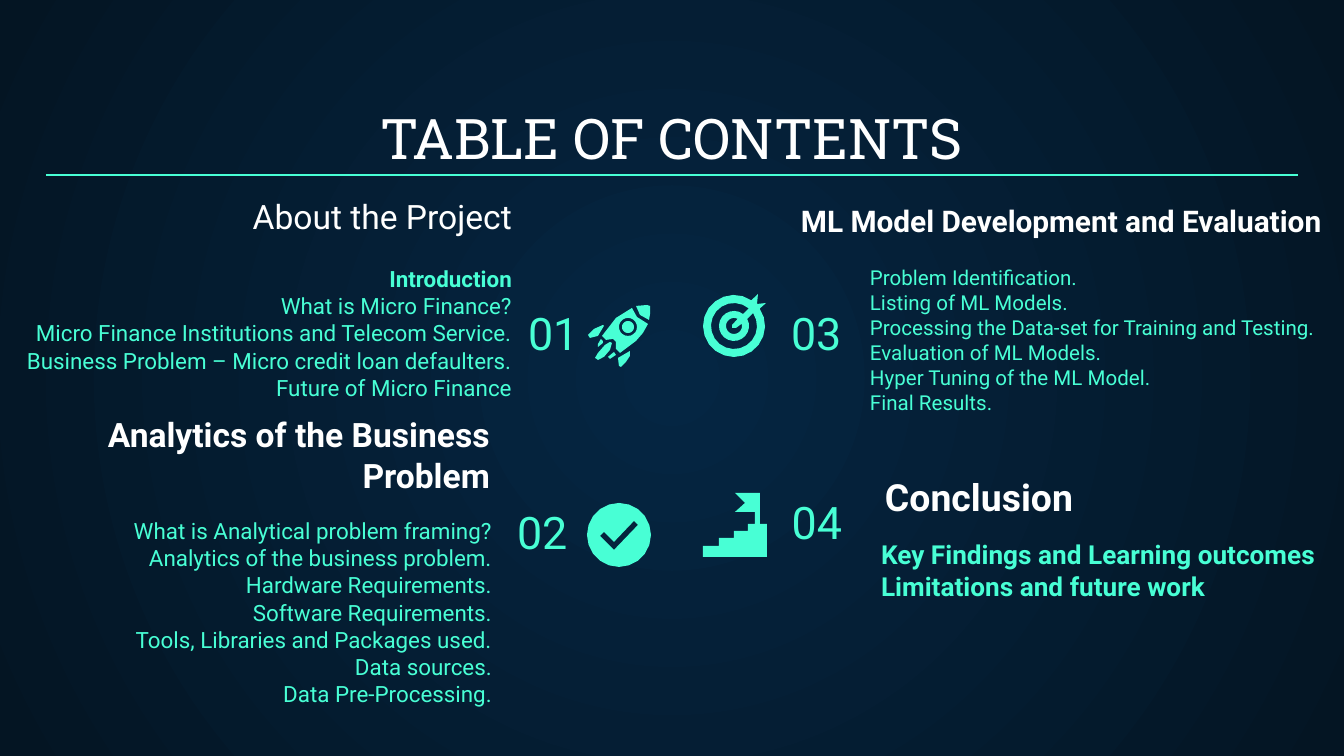
"""Build a table of contents slide with four numbered sections and icons."""
from math import cos, radians, sin

from lxml import etree
from pptx import Presentation
from pptx.dml.color import RGBColor
from pptx.enum.shapes import MSO_CONNECTOR
from pptx.enum.text import MSO_ANCHOR, PP_ALIGN
from pptx.oxml.ns import qn
from pptx.util import Pt

STRAIGHT = MSO_CONNECTOR.STRAIGHT
TOP, BOTTOM = MSO_ANCHOR.TOP, MSO_ANCHOR.BOTTOM
LEFT, CENTER, RIGHT = PP_ALIGN.LEFT, PP_ALIGN.CENTER, PP_ALIGN.RIGHT
WIDTH, HEIGHT = 1344, 756
PX = 9144000 / WIDTH
INSET = 13
COLORS = {"center": "052643", "edge": "041523", "accent": "48FFD5", "white": "FFFFFF"}
RGB = {name: RGBColor.from_string(value) for name, value in COLORS.items()}


def add_text(box, lines, size, color, align, anchor=BOTTOM, font="Roboto", bold_lines=0, indented=False):
    shape = slide.shapes.add_textbox(*(round(length * PX) for length in box))
    frame = shape.text_frame
    frame.word_wrap = True
    frame.vertical_anchor = anchor
    frame.margin_left = frame.margin_right = round(INSET * PX)
    frame.margin_top = frame.margin_bottom = round(INSET * PX)
    frame.text = "\n".join(lines)
    for index, paragraph in enumerate(frame.paragraphs):
        paragraph.alignment = align
        if indented:
            paragraph.line_spacing = 1.01
            properties = paragraph._p.get_or_add_pPr()
            properties.set("marL", str(round(67 * PX)))
            properties.set("indent", str(round(-51 * PX)))
        for run in paragraph.runs:
            run.font.size = Pt(size)
            run.font.name = font
            run.font.bold = index < bold_lines
            run.font.color.rgb = RGB[color]


def arc(x, y, radius, start=0, end=342, steps=19):
    angles = [radians(start + (end - start) * step / steps) for step in range(steps + 1)]
    return [(x + radius * cos(angle), y + radius * sin(angle)) for angle in angles]


presentation = Presentation()
presentation.slide_width = round(WIDTH * PX)
presentation.slide_height = round(HEIGHT * PX)
slide = presentation.slides.add_slide(presentation.slide_layouts[6])

background = slide.background.fill
background.gradient()
for stop, name in zip(background.gradient_stops, ("center", "edge")):
    stop.color.rgb = RGB[name]
gradient = slide.element.find(".//" + qn("a:gradFill"))
linear = gradient.find(qn("a:lin"))
radial = etree.Element(qn("a:path"), path="circle")
etree.SubElement(radial, qn("a:fillToRect"), {side: "50000" for side in "ltrb"})
gradient.replace(linear, radial)

add_text((46, 95, 1252, 89), ["TABLE OF CONTENTS"], 30, "white", CENTER, font="Roboto Slab")

headings = [
    ("About the Project", (220, 220, 305, 29), 18, RIGHT, 0),
    ("Analytics of the Business Problem", (51, 430, 452, 78), 18, RIGHT, 1),
    ("ML Model Development and Evaluation", (788, 167, 556, 85), 16, LEFT, 1),
    ("Conclusion", (872, 503, 305, 29), 20, LEFT, 1),
]
for heading, box, size, align, bold_lines in headings:
    add_text(box, [heading], size, "white", align, bold_lines=bold_lines)

numbers = [
    ("01", 515, 284, LEFT),
    ("02", 504, 483, LEFT),
    ("03", 778, 284, LEFT),
    ("04", 682, 473, RIGHT),
]
for number, left, top, align in numbers:
    add_text((left, top, 173, 89), [number], 24, "accent", align)

topics = [
    ((-53, 252, 578, 105), 12, RIGHT, 1, [
        "Introduction",
        "What is Micro Finance?",
        "Micro Finance Institutions and Telecom Service.",
        "Business Problem – Micro credit loan defaulters.",
        "Future of Micro Finance",
    ]),
    ((21, 504, 484, 220), 12, RIGHT, 0, [
        "What is Analytical problem framing?",
        "Analytics of the business problem.",
        "Hardware Requirements.",
        "Software Requirements.",
        "Tools, Libraries and Packages used.",
        "Data sources.",
        "Data Pre-Processing.",
    ]),
    ((841, 252, 578, 155), 11, LEFT, 0, [
        "Problem Identification.",
        "Listing of ML Models.",
        "Processing the Data-set for Training and Testing.",
        "Evaluation of ML Models.",
        "Hyper Tuning of the ML Model.",
        "Final Results.",
    ]),
    ((852, 525, 493, 74), 14, LEFT, 2, [
        "Key Findings and Learning outcomes",
        "Limitations and future work",
    ]),
]
for box, size, align, bold_lines, lines in topics:
    add_text(box, lines, size, "accent", align, TOP, bold_lines=bold_lines, indented=True)

target = [
    arc(734, 326, 31, -34, 304) + [(758, 294), (757, 304), (766, 303)],
    arc(734, 326, 23, -34, 310) + arc(734, 326, 15, 307, -28),
    arc(734, 326, 8, -16, 297) + [(732, 325), (732, 328), (736, 328)],
]
small_flames = [
    [(601, 339), (598, 344), (598, 347), (603, 343), (603, 341)],
    [(614, 352), (608, 357), (610, 359), (616, 355)],
]
large_flame = [(610, 342), (605, 345), (598, 353), (595, 358), (598, 360), (604, 357), (610, 350), (612, 343)]
fins = [
    [(603, 325), (594, 329), (588, 335), (590, 338), (598, 336), (604, 326)],
    [(630, 351), (618, 358), (619, 366), (621, 367), (626, 362), (630, 356)],
]
porthole = arc(628, 327, 6)
nose = [(636, 306), (647, 305), (650, 306), (650, 314), (649, 320), (640, 315)]
body = [
    [(632, 308), (616, 318), (602, 336), (606, 340), (613, 339), (616, 342), (616, 349),
     (620, 353), (636, 341), (643, 333), (648, 324), (637, 317)],
    arc(628, 327, 9),
]
check = [
    arc(619, 535, 32),
    [(634, 521), (638, 525), (614, 550), (600, 536), (604, 532), (614, 542)],
]
stairs = [(735, 493), (745, 503), (735, 512), (755, 512), (755, 524), (748, 524), (748, 531),
          (734, 531), (734, 538), (719, 538), (719, 546), (703, 546), (703, 557), (767, 557),
          (767, 524), (760, 524), (760, 493)]
rocket_parts = [[part] for part in (*small_flames, large_flame, *fins, porthole, nose)]
for outline in (target, *rocket_parts, body, check, [stairs]):
    contours = [[(x * 10, y * 10) for x, y in contour] for contour in outline]
    builder = slide.shapes.build_freeform(*contours[0][0], scale=PX / 10)
    builder.add_line_segments(contours[0][1:], close=True)
    for contour in contours[1:]:
        builder.move_to(*contour[0])
        builder.add_line_segments(contour[1:], close=True)
    shape = builder.convert_to_shape()
    shape.shadow.inherit = False
    shape.fill.solid()
    shape.fill.fore_color.rgb = RGB["accent"]
    shape.line.fill.background()

rule = slide.shapes.add_connector(STRAIGHT, *(round(length * PX) for length in (46, 175, 1298, 175)))
rule.line.color.rgb = RGB["accent"]
rule.line.width = Pt(0.75)
etree.SubElement(rule.element.spPr, qn("a:effectLst"))

presentation.save("out.pptx")
